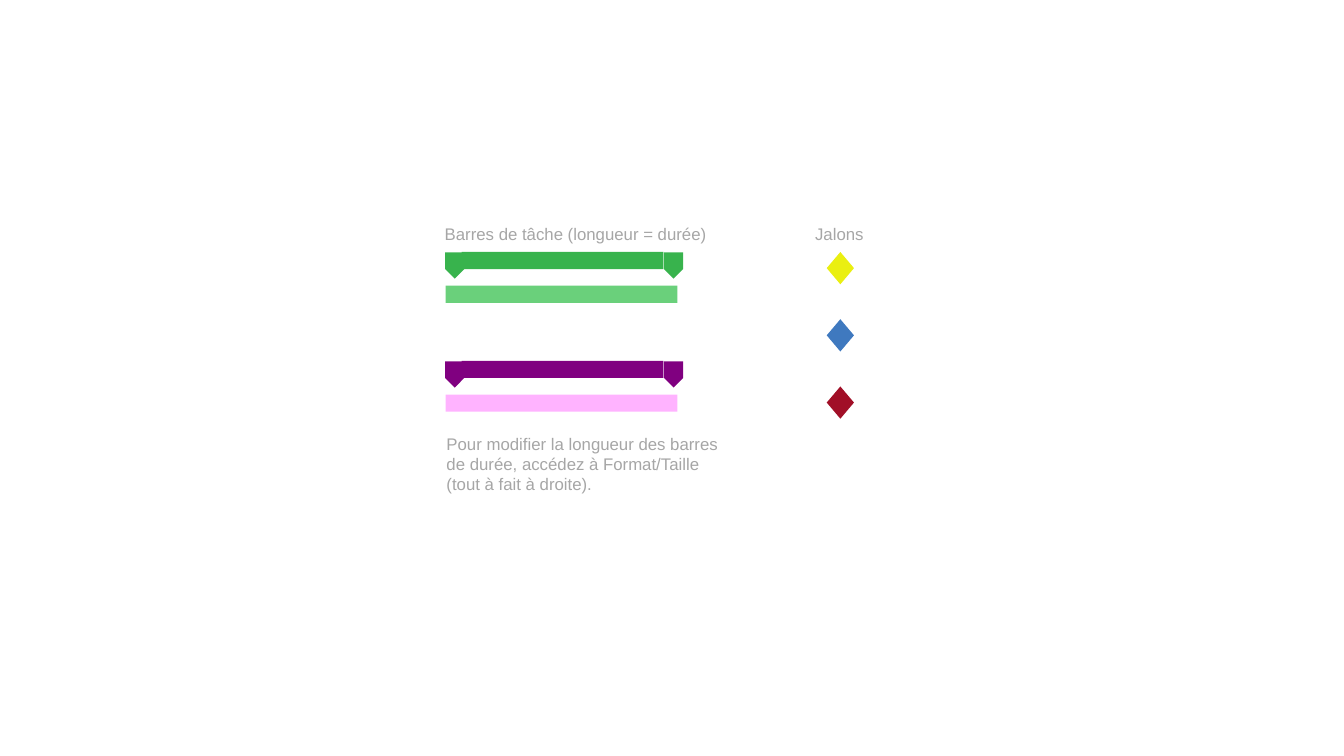
from dataclasses import dataclass

from pptx import Presentation
from pptx.dml.color import RGBColor
from pptx.enum import shapes, text
from pptx.shapes.autoshape import Shape
from pptx.slide import Slide
from pptx.util import Inches, Pt

KIND = shapes.MSO_SHAPE


@dataclass(frozen=True)
class Theme:
    font: str = "Arial"
    size: int = 12
    label: str = "A6A6A6"
    green: str = "38B34D"
    light_green: str = "6AD07B"
    purple: str = "800080"
    pink: str = "FFB3FF"
    milestones: tuple[str, ...] = ("EAEF11", "3F79BF", "A10F27")


@dataclass(frozen=True)
class TaskGroup:
    top: float
    summary_color: str
    task_color: str


@dataclass(frozen=True)
class Label:
    text: str
    left: float
    top: float
    width: float
    height: float
    align: text.PP_ALIGN


THEME = Theme()
BAR_HEIGHT = 0.17
TASK_OFFSET = 0.335
MILESTONE_TOP, MILESTONE_STEP = 2.5, 0.667

GROUPS = (
    TaskGroup(2.5, THEME.green, THEME.light_green),
    TaskGroup(3.58, THEME.purple, THEME.pink),
)
LABELS = (
    Label("Barres de tâche (longueur = durée)", 4.25, 2.17, 2.92, 0.3, text.PP_ALIGN.CENTER),
    Label("Jalons", 7.42, 2.17, 1.81, 0.3, text.PP_ALIGN.CENTER),
    Label("Pour modifier la longueur des barres de durée, accédez à Format/Taille "
          "(tout à fait à droite).", 4.33, 4.25, 2.92, 0.71, text.PP_ALIGN.LEFT),
)


def add_filled(s: Slide, kind: KIND, left: float, top: float,
               width: float, height: float, color: str) -> Shape:
    sp = s.shapes.add_shape(kind, Inches(left), Inches(top), Inches(width), Inches(height))
    sp.shadow.inherit = False
    sp.fill.solid()
    sp.fill.fore_color.rgb = RGBColor.from_string(color)
    sp.line.fill.background()
    return sp


def add_group(s: Slide, group: TaskGroup) -> None:
    # Summary bar with a downward marker at each end
    add_filled(s, KIND.RECTANGLE, 4.58, group.top, 2, BAR_HEIGHT, group.summary_color)
    for left in (4.38, 6.55):
        marker = add_filled(s, KIND.PENTAGON, left, group.top + 0.04, 0.26, 0.19,
                            group.summary_color)
        marker.rotation = 90
    # Task bar
    add_filled(s, KIND.RECTANGLE, 4.42, group.top + TASK_OFFSET, 2.3, BAR_HEIGHT,
               group.task_color)


def add_label(s: Slide, label: Label) -> None:
    sp = s.shapes.add_textbox(Inches(label.left), Inches(label.top),
                              Inches(label.width), Inches(label.height))
    tf = sp.text_frame
    tf.word_wrap = True
    tf.auto_size = text.MSO_AUTO_SIZE.SHAPE_TO_FIT_TEXT
    p = tf.paragraphs[0]
    p.text = label.text
    p.alignment = label.align
    p.font.name = THEME.font
    p.font.size = Pt(THEME.size)
    p.font.color.rgb = RGBColor.from_string(THEME.label)


prs = Presentation()
prs.slide_width, prs.slide_height = Inches(13.33), Inches(7.5)
s = prs.slides.add_slide(prs.slide_layouts[6])

# Task bars
for group in GROUPS:
    add_group(s, group)

# Milestones
for i, color in enumerate(THEME.milestones):
    add_filled(s, KIND.FLOWCHART_DECISION, 8.2, MILESTONE_TOP + i * MILESTONE_STEP,
               0.27, 0.32, color)

# Captions and instructions
for label in LABELS:
    add_label(s, label)

prs.save("out.pptx")
